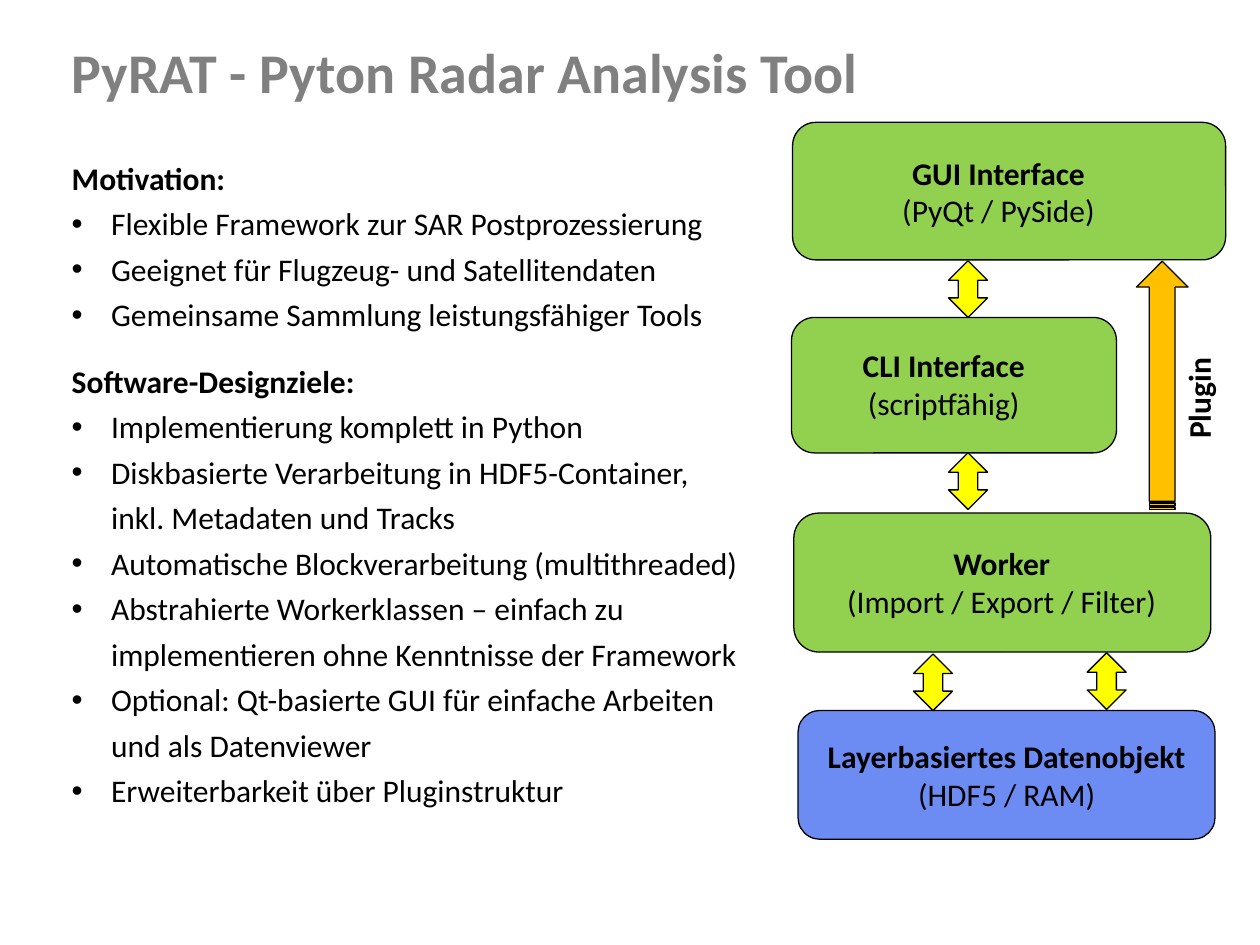
from dataclasses import dataclass

from lxml import etree
from pptx import Presentation
from pptx.dml.color import RGBColor
from pptx.enum.shapes import MSO_SHAPE
from pptx.enum.text import MSO_ANCHOR, MSO_AUTO_SIZE, PP_ALIGN
from pptx.oxml.ns import qn
from pptx.util import Pt

ROUNDED = MSO_SHAPE.ROUNDED_RECTANGLE
EXCHANGE_ARROW = MSO_SHAPE.UP_DOWN_ARROW
PLUGIN_ARROW = MSO_SHAPE.STRIPED_RIGHT_ARROW
TOP = MSO_ANCHOR.TOP
NO_FIT = MSO_AUTO_SIZE.NONE
LEFT = PP_ALIGN.LEFT
CENTER = PP_ALIGN.CENTER


@dataclass(frozen=True)
class Theme:
    font: str = "Calibri"
    title_size: float = 32
    text_size: float = 18
    leading: float = 26
    section_gap: float = 12
    bullet_indent: float = 22.5
    outline_width: float = 0.75
    title: str = "808080"
    text: str = "000000"
    outline: str = "000000"
    module: str = "92D050"
    data: str = "6C8CF4"
    exchange: str = "FFFF00"
    plugin: str = "FFC000"


def apply(target, values):
    for name, value in values.items():
        setattr(target, name, value)


class SlideBuilder:
    def __init__(self, slide, theme):
        self.slide = slide
        self.theme = theme

    def place(self, shape, box):
        apply(shape, dict(zip(("left", "top", "width", "height"), map(Pt, box))))

    def frame(self, shape, wrap=True):
        apply(shape.text_frame, {
            "word_wrap": wrap, "auto_size": NO_FIT, "vertical_anchor": TOP})
        return shape.text_frame

    def run(self, paragraph, text, bold=False, size=None, color=None):
        run = paragraph.add_run()
        run.text = text
        apply(run.font, {
            "name": self.theme.font,
            "size": Pt(size or self.theme.text_size),
            "bold": bold,
        })
        run.font.color.rgb = RGBColor.from_string(color or self.theme.text)

    def title(self, text, box):
        heading = self.slide.shapes.title
        self.place(heading, box)
        paragraph = self.frame(heading).paragraphs[0]
        apply(paragraph, {"alignment": LEFT, "line_spacing": Pt(self.theme.leading)})
        self.run(paragraph, text, True, self.theme.title_size, self.theme.title)

    def sections(self, content, box):
        body = self.slide.placeholders[1]
        self.place(body, box)
        frame = self.frame(body)
        paragraph = frame.paragraphs[0]
        for index, (heading, items) in enumerate(content):
            if index:
                paragraph = frame.add_paragraph()
            gap = self.theme.section_gap if index else 0
            self.list_line(paragraph, heading, gap, False)
            for item in items:
                self.list_line(frame.add_paragraph(), item, 0, True)

    def list_line(self, paragraph, text, gap, bulleted):
        apply(paragraph, {
            "alignment": LEFT,
            "line_spacing": Pt(self.theme.leading),
            "space_before": Pt(gap),
        })
        indent = Pt(self.theme.bullet_indent) if bulleted else 0
        properties = paragraph._p.get_or_add_pPr()
        properties.set("marL", str(indent))
        properties.set("indent", str(-indent))
        if bulleted:
            etree.SubElement(properties, qn("a:buFont")).set("typeface", "Arial")
            etree.SubElement(properties, qn("a:buChar")).set("char", "•")
        else:
            etree.SubElement(properties, qn("a:buNone"))
        self.run(paragraph, text, not bulleted)

    def block(self, kind, box, fill, rotation=0):
        block = self.slide.shapes.add_shape(kind, *map(Pt, box))
        block.rotation = rotation
        block.shadow.inherit = False
        block.fill.solid()
        block.fill.fore_color.rgb = RGBColor.from_string(fill)
        block.line.color.rgb = RGBColor.from_string(self.theme.outline)
        block.line.width = Pt(self.theme.outline_width)
        return block

    def caption(self, box, name, detail=None, rotation=0):
        caption = self.slide.shapes.add_textbox(*map(Pt, box))
        caption.rotation = rotation
        paragraph = self.frame(caption, wrap=detail is None).paragraphs[0]
        paragraph.alignment = CENTER
        self.run(paragraph, name, True)
        if detail:
            paragraph.add_line_break()
            self.run(paragraph, detail)
        else:
            paragraph.line_spacing = Pt(self.theme.leading)


def main():
    theme = Theme()
    deck = Presentation()
    apply(deck, {"slide_width": Pt(720), "slide_height": Pt(540)})
    builder = SlideBuilder(deck.slides.add_slide(deck.slide_layouts[1]), theme)

    builder.title("PyRAT - Pyton Radar Analysis Tool", (33.8, 30.2, 646.6, 35.3))
    builder.sections([
        ("Motivation:", [
            "Flexible Framework zur SAR Postprozessierung",
            "Geeignet für Flugzeug- und Satellitendaten",
            "Gemeinsame Sammlung leistungsfähiger Tools",
        ]),
        ("Software-Designziele:", [
            "Implementierung komplett in Python",
            "Diskbasierte Verarbeitung in HDF5-Container, inkl. Metadaten und Tracks",
            "Automatische Blockverarbeitung (multithreaded)",
            "Abstrahierte Workerklassen – einfach zu implementieren ohne Kenntnisse "
            "der Framework",
            "Optional: Qt-basierte GUI für einfache Arbeiten und als Datenviewer",
            "Erweiterbarkeit über Pluginstruktur",
        ]),
    ], (33.8, 82.8, 400.3, 386.6))

    caption_height = 51
    layers = [
        ("GUI Interface", "(PyQt / PySide)", theme.module,
         (452.9, 69.9, 247.5, 78.6), (507.6, 84.2, 126)),
        ("CLI Interface", "(scriptfähig)", theme.module,
         (452.3, 181.4, 185.7, 77.4), (483.1, 194.4, 112.3)),
        ("Worker", "(Import / Export / Filter)", theme.module,
         (453.6, 293.2, 238.3, 79.4), (475.9, 307.4, 193)),
        ("Layerbasiertes Datenobjekt", "(HDF5 / RAM)", theme.data,
         (456, 406, 238.3, 73.6), (465.1, 417.6, 220.3)),
    ]
    for name, detail, fill, block_box, caption_box in layers:
        layer = builder.block(ROUNDED, block_box, fill)
        layer.adjustments[0] = 0.18 if name == "Worker" else 0.17
        builder.caption((*caption_box, caption_height), name, detail)

    for left, top in [(542, 149), (542, 258.7), (522, 373.7), (621.2, 373)]:
        builder.block(EXCHANGE_ARROW, (left, top, 22.3, 32.4), theme.exchange)

    builder.block(PLUGIN_ARROW, (593.2, 205.4, 141.8, 29.5), theme.plugin, 270)
    builder.caption((625.7, 211.7, 112.3, 31.7), "Plugin", rotation=270)

    deck.save("out.pptx")


if __name__ == "__main__":
    main()
